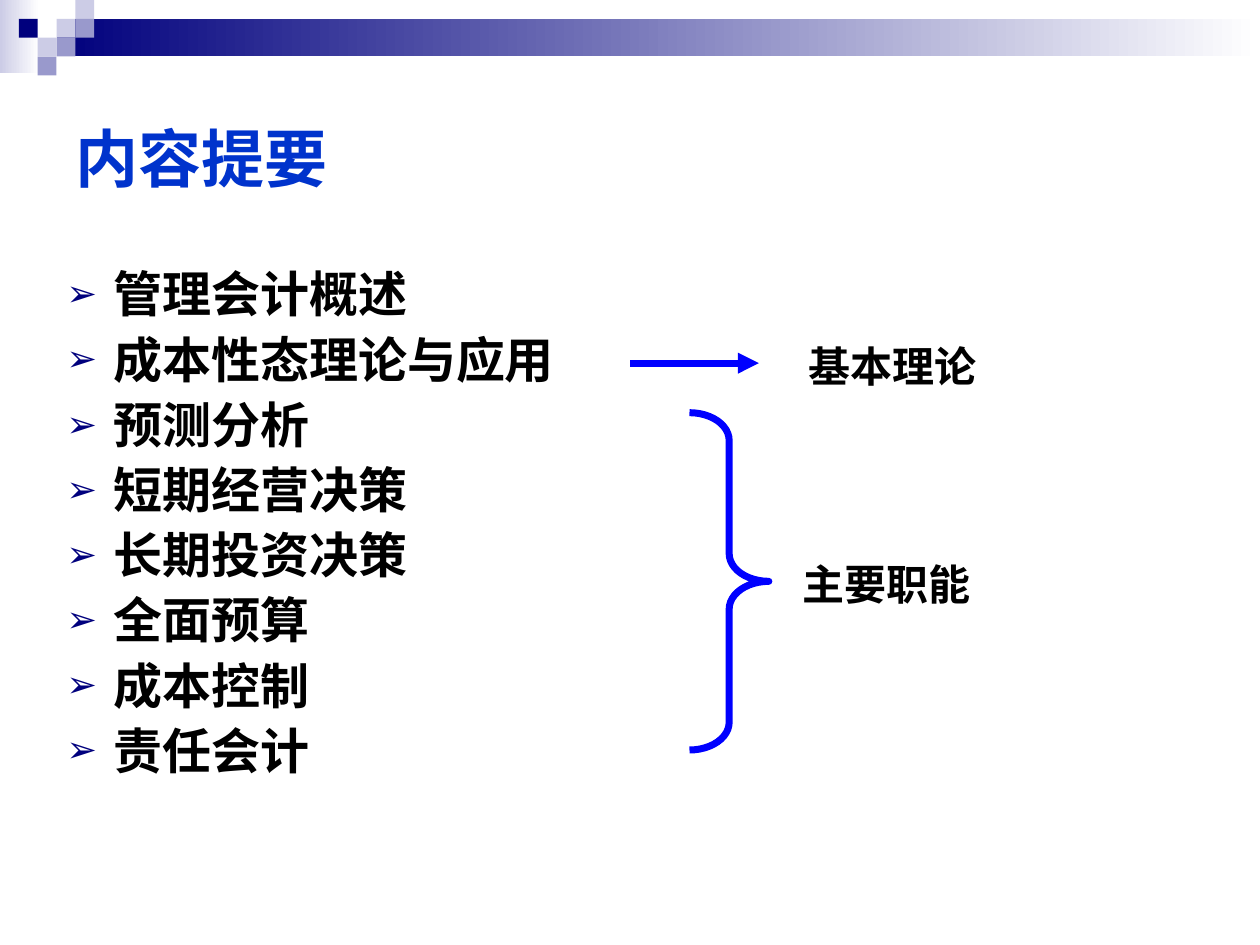
from lxml.etree import SubElement
from pptx import Presentation
from pptx.dml.color import RGBColor
from pptx.enum.shapes import MSO_CONNECTOR as Link, MSO_SHAPE as Shape
from pptx.enum.text import MSO_ANCHOR as Anchor, PP_ALIGN as Align
from pptx.oxml.ns import qn
from pptx.util import Cm, Pt

NAVY, PALE, MID, WHITE = "00007D", "CCCCE6", "9999CC", "FFFFFF"
TITLE, BLUE, BLACK = "0033CC", "0000FF", "000000"
UNIT = 0.38
TILES = [(3, 1, PALE), (4, 0, PALE), (4, 1, MID), (2, 2, PALE),
         (1, 1, NAVY), (3, 2, MID), (2, 3, MID)]
TOPICS = ["管理会计概述", "成本性态理论与应用", "预测分析", "短期经营决策",
          "长期投资决策", "全面预算", "成本控制", "责任会计"]


def tint(code):
    return RGBColor.from_string(code)


class Deck:
    font = "Arial"
    stroke = 4

    def __init__(self, wide, high):
        self.file = Presentation()
        self.file.slide_width, self.file.slide_height = Cm(wide), Cm(high)
        self.slide = self.file.slides.add_slide(self.file.slide_layouts[6])

    def block(self, kind, *box):
        shape = self.slide.shapes.add_shape(kind, *map(Cm, box))
        shape.shadow.inherit = False
        return shape

    def tile(self, color, *box):
        shape = self.block(Shape.RECTANGLE, *box)
        shape.line.fill.background()
        shape.fill.solid()
        shape.fill.fore_color.rgb = tint(color)

    def fade(self, start, end, *box):
        shape = self.block(Shape.RECTANGLE, *box)
        shape.line.fill.background()
        shape.fill.gradient()
        shape.fill.gradient_angle = 0
        for stop, color in zip(shape.fill.gradient_stops, (start, end)):
            stop.color.rgb = tint(color)

    def ink(self, line):
        line.color.rgb = tint(BLUE)
        line.width = Pt(self.stroke)

    def brace(self, bend, *box):
        shape = self.block(Shape.RIGHT_BRACE, *box)
        shape.adjustments[0] = bend
        shape.fill.background()
        self.ink(shape.line)

    def arrow(self, *ends):
        link = self.slide.shapes.add_connector(Link.STRAIGHT, *map(Cm, ends))
        self.ink(link.line)
        SubElement(link.line._get_or_add_ln(), qn("a:tailEnd"), type="triangle")
        SubElement(link._element.spPr, qn("a:effectLst"))

    def text(self, lines, size, color, *box, align=Align.LEFT, anchor=Anchor.TOP):
        frame = self.slide.shapes.add_textbox(*map(Cm, box)).text_frame
        frame.word_wrap = True
        frame.vertical_anchor = anchor
        frame.text = "\n".join(lines)
        for para in frame.paragraphs:
            para.alignment = align
            font = para.font
            font.name, font.size, font.bold = self.font, Pt(size), True
            font.color.rgb = tint(color)
        return frame

    def bullets(self, lines, size, *box):
        frame = self.text([], size, BLACK, *box)
        for num, line in enumerate(lines):
            para = frame.add_paragraph() if num else frame.paragraphs[0]
            para.text = line
            para.line_spacing = 0.9
            para.space_before = Pt(7 if num else 0)
            props = para._p.get_or_add_pPr()
            props.set("marL", str(Cm(0.95)))
            props.set("indent", str(Cm(-0.95)))
            hue = SubElement(props, qn("a:buClr"))
            SubElement(hue, qn("a:srgbClr"), val=NAVY)
            SubElement(props, qn("a:buSzPct"), val="75000")
            SubElement(props, qn("a:buFont"), typeface=self.font)
            SubElement(props, qn("a:buChar"), char="➢")
            for old in props.findall(qn("a:defRPr")):
                props.remove(old)
            font = para.font
            font.name, font.size, font.bold = self.font, Pt(size), True
            font.color.rgb = tint(BLACK)

    def save(self):
        self.file.save("out.pptx")


def main():
    deck = Deck(25.4, 19.05)
    deck.fade(PALE, WHITE, 0, 0, 0.79, 1.47)
    deck.fade(NAVY, WHITE, 3 * UNIT, UNIT, 25.4 - 3 * UNIT, 2 * UNIT)
    for col, row, color in TILES:
        deck.tile(color, col * UNIT, row * UNIT, UNIT, UNIT)
    deck.text(["内容提要"], 36, TITLE, 1.27, 1.27, 22.86, 3.81, anchor=Anchor.MIDDLE)
    deck.bullets(TOPICS, 28, 1.09, 5.33, 22.86, 10.8)
    deck.brace(0.35, 13.9, 8.32, 1.6, 6.8)
    deck.text(["主要职能"], 24, BLACK, 15.92, 11.13, 3.89, 1.27, align=Align.CENTER)
    deck.arrow(12.7, 7.32, 15.3, 7.32)
    deck.text(["基本理论"], 24, BLACK, 15.5, 6.73, 5, 1.27, align=Align.CENTER)
    deck.save()


if __name__ == "__main__":
    main()
